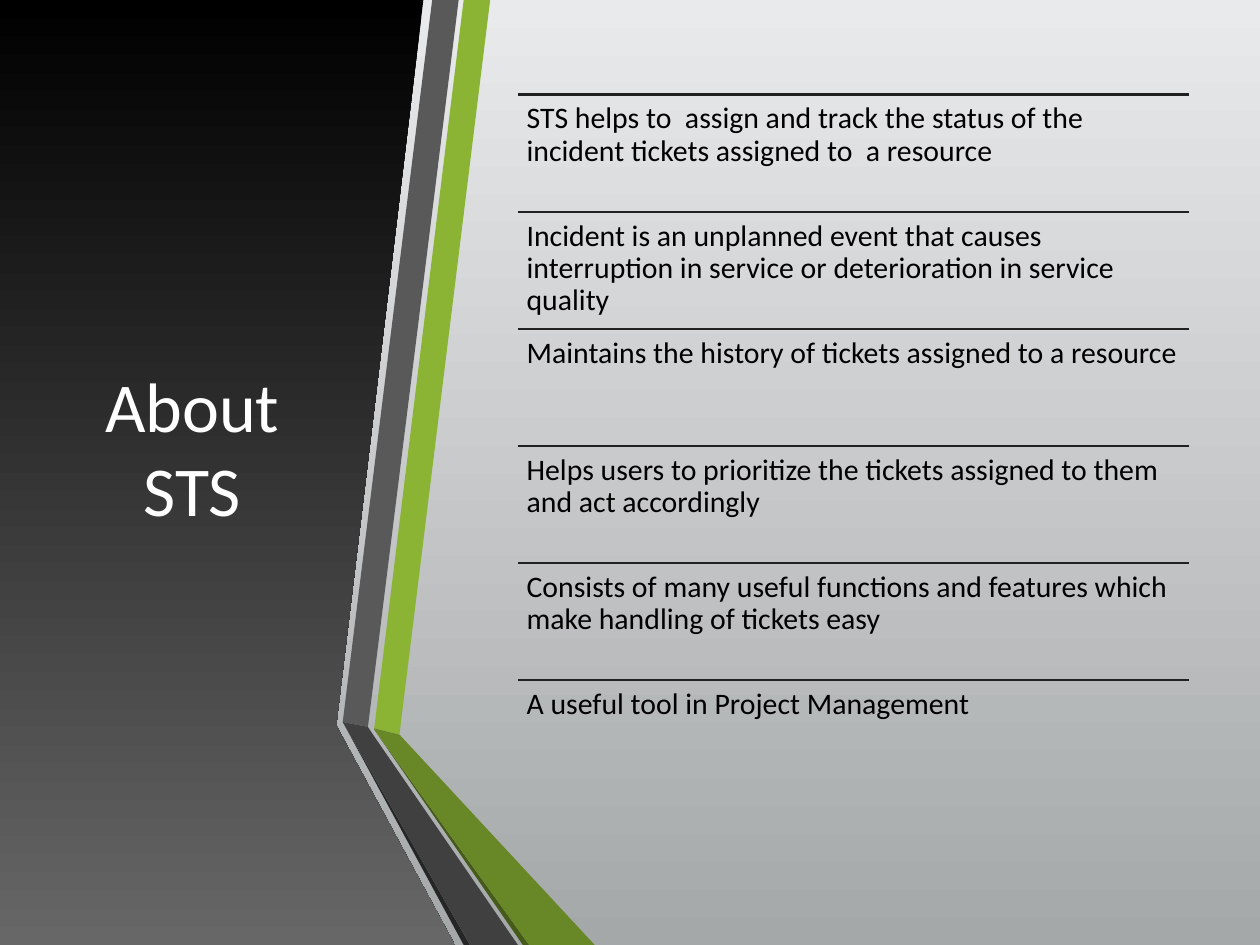
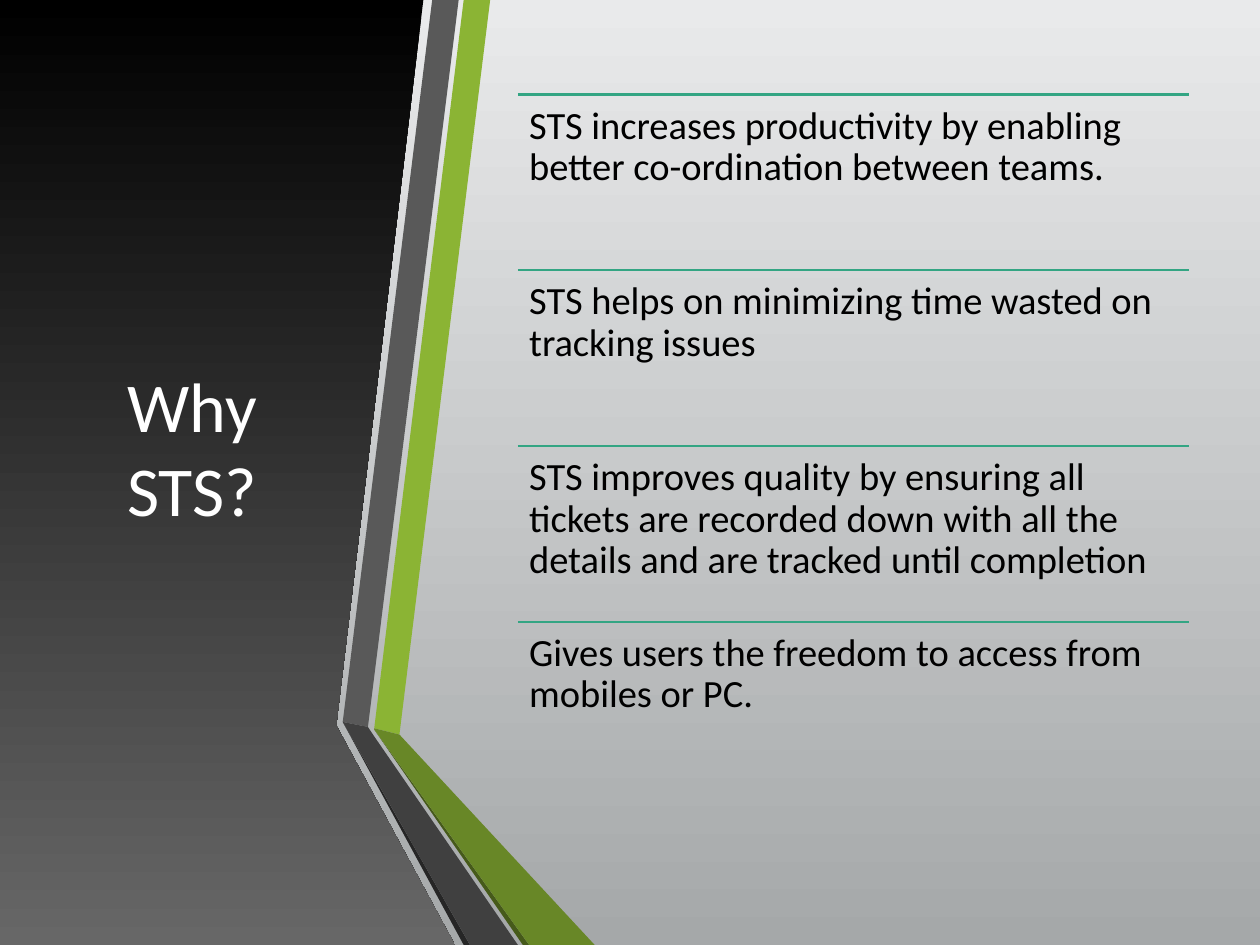
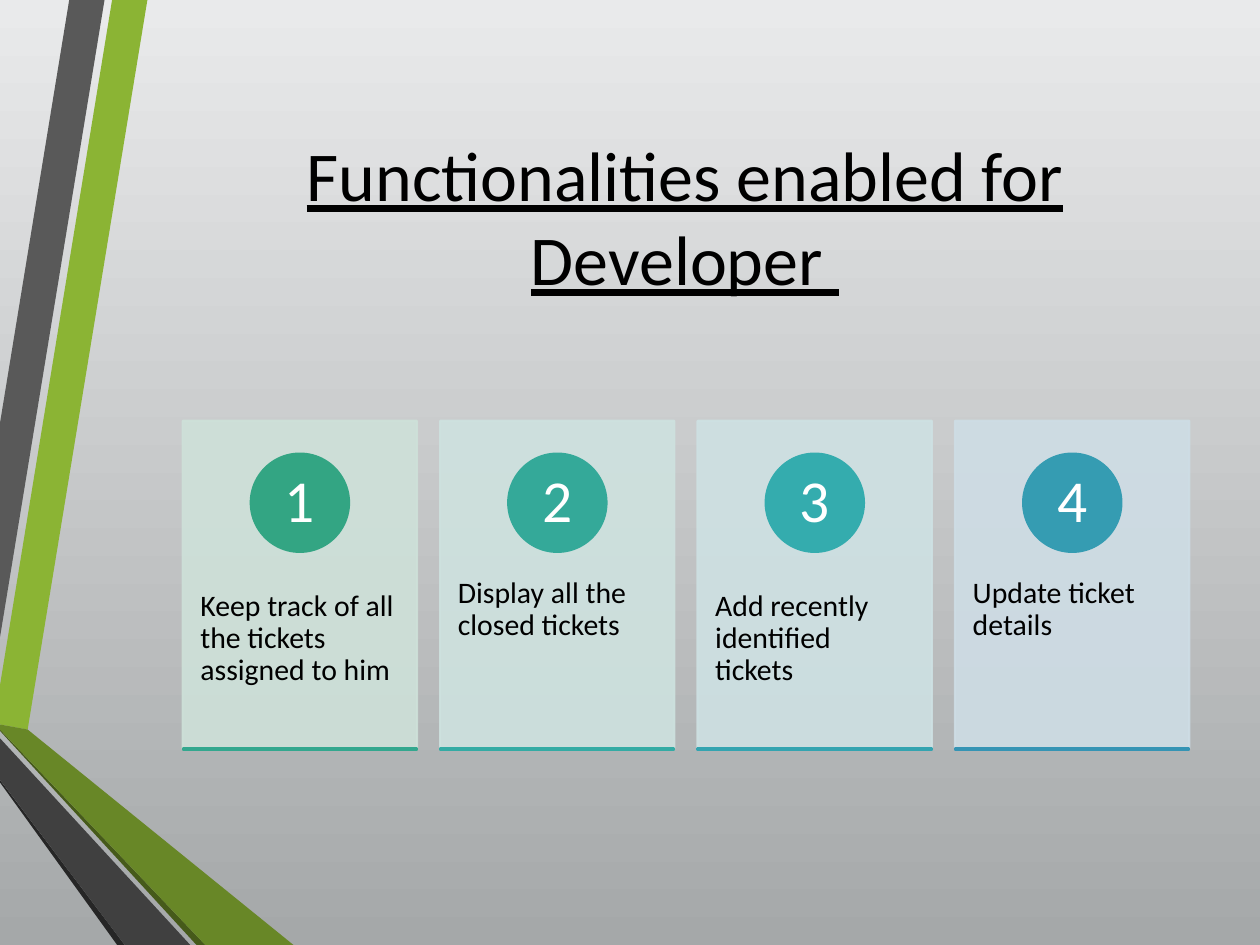
from dataclasses import dataclass

from lxml import etree
from pptx import Presentation
from pptx.dml.color import RGBColor
from pptx.enum.shapes import MSO_CONNECTOR, MSO_SHAPE
from pptx.enum.text import MSO_ANCHOR, MSO_AUTO_SIZE, PP_ALIGN
from pptx.oxml.ns import qn
from pptx.util import Inches, Pt

STRAIGHT = MSO_CONNECTOR.STRAIGHT
RECTANGLE, OVAL = MSO_SHAPE.RECTANGLE, MSO_SHAPE.OVAL
TOP, MIDDLE = MSO_ANCHOR.TOP, MSO_ANCHOR.MIDDLE
NO_AUTOFIT = MSO_AUTO_SIZE.NONE
LEFT, CENTER = PP_ALIGN.LEFT, PP_ALIGN.CENTER

BLACK = RGBColor(0x00, 0x00, 0x00)
WHITE = RGBColor(0xFF, 0xFF, 0xFF)
PALE_GRAY = RGBColor(0xE9, 0xEA, 0xEB)
MID_GRAY = RGBColor(0xA5, 0xA8, 0xA9)
PANEL_GRAY = RGBColor(0x67, 0x67, 0x67)
RULE_GRAY = RGBColor(0x21, 0x21, 0x21)
TEAL = RGBColor(0x33, 0xA5, 0x83)
GREEN = RGBColor(0x8B, 0xB4, 0x34)
GREEN_FOLD = RGBColor(0x68, 0x87, 0x27)
GREEN_EDGE = RGBColor(0x46, 0x5A, 0x1A)
GRAY = RGBColor(0x59, 0x59, 0x59)
GRAY_FOLD = RGBColor(0x40, 0x40, 0x40)
GRAY_EDGE = RGBColor(0x26, 0x26, 0x26)

FONT = "Calibri"
TITLE_ONLY = 5
DOWNWARD = 270
LINE_WIDTH = Pt(1.25)
TITLE_SIZE = 40
CONTENT_TOP, CONTENT_HEIGHT = 0.75, 5.58
LIST_LEFT, LIST_WIDTH = 4.11, 5.33
CARDS_LEFT, CARDS_WIDTH = 1.45, 7.99
CARD_WIDTH, CARD_TOP, CARD_HEIGHT = 1.86, 3.34, 2.6
CIRCLE_TOP, CIRCLE_SIZE = 3.6, 0.78
NUMBER_SIZE = 0.55


@dataclass(frozen=True)
class Box:
    """Position and size in inches."""

    left: float
    top: float
    width: float
    height: float

    def lengths(self) -> tuple:
        """Return the four values as lengths."""
        return tuple(Inches(value) for value in (self.left, self.top, self.width, self.height))


@dataclass(frozen=True)
class Ribbon:
    """Filled outline with corners in inches."""

    color: RGBColor
    points: tuple


@dataclass(frozen=True)
class TextStyle:
    """Look of the text in a box, with insets in inches."""

    size: float
    inset_x: float
    inset_y: float
    color: RGBColor = BLACK
    align: PP_ALIGN = LEFT
    anchor: MSO_ANCHOR = TOP


@dataclass(frozen=True)
class ListSlide:
    """Slide with a dark title panel and a ruled list."""

    title: str
    rule_color: RGBColor
    style: TextStyle
    items: tuple


@dataclass(frozen=True)
class Card:
    """Numbered card with its three colors."""

    text: str
    panel: RGBColor
    circle: RGBColor
    base: RGBColor


PANEL_POINTS = ((2.64, 0), (3.36, 0), (2.67, 5.75), (2.67, 5.76), (3.61, 7.5), (0, 7.5), (0, 0))
LIST_RIBBONS = (
    Ribbon(GREEN, ((2.97, 5.78), (3.17, 5.83), (3.89, 0), (3.68, 0))),
    Ribbon(GRAY, ((3.64, 0), (3.43, 0), (2.72, 5.73), (2.92, 5.77))),
    Ribbon(GRAY_EDGE, ((2.72, 5.73), (3.68, 7.5), (3.73, 7.5))),
    Ribbon(GREEN_EDGE, ((2.97, 5.79), (4.15, 7.5), (4.2, 7.5))),
    Ribbon(GREEN_FOLD, ((2.97, 5.79), (4.2, 7.5), (4.72, 7.5), (3.17, 5.83), (2.97, 5.78))),
    Ribbon(GRAY_FOLD, ((4.11, 7.5), (2.96, 5.83), (2.92, 5.77), (2.72, 5.73), (3.73, 7.5))),
)
CARD_RIBBONS = (
    Ribbon(GREEN, ((0, 5.44), (0, 5.75), (0.22, 5.79), (1.17, 0), (0.89, 0))),
    Ribbon(GRAY, ((0.83, 0), (0.55, 0), (0, 3.36), (0, 5.06))),
    Ribbon(GRAY_EDGE, ((0, 6.19), (0, 6.21), (0.93, 7.5), (0.99, 7.5))),
    Ribbon(GREEN_EDGE, ((0, 5.79), (0, 5.8), (1.56, 7.5), (1.63, 7.5))),
    Ribbon(GREEN_FOLD, ((0, 5.79), (1.63, 7.5), (2.33, 7.5), (0.22, 5.79), (0, 5.75))),
    Ribbon(GRAY_FOLD, ((0, 6.19), (0.99, 7.5), (1.51, 7.5), (0, 5.86))),
)

LIST_SLIDES = (
    ListSlide("About STS", RULE_GRAY, TextStyle(17, 0.07, 0.07), (
        "STS helps to  assign and track the status of the incident tickets assigned to  a resource",
        "Incident is an unplanned event that causes interruption in service or deterioration in service quality",
        "Maintains the history of tickets assigned to a resource",
        "Helps users to prioritize the tickets assigned to them and act accordingly",
        "Consists of many useful functions and features which make handling of tickets easy",
        "A useful tool in Project Management",
    )),
    ListSlide("Why STS?", TEAL, TextStyle(22, 0.09, 0.09), (
        "STS increases productivity by enabling better co-ordination between teams.",
        "STS helps on minimizing time wasted on tracking issues",
        "STS improves quality by ensuring all tickets are recorded down with all the details "
        "and are tracked until completion",
        "Gives users the freedom to access from mobiles or PC.",
    )),
)

CARD_TITLE = "Functionalities enabled for Developer "
CARD_STYLE = TextStyle(17, 0.14, 0.36)
NUMBER_STYLE = TextStyle(34, 0.06, 0.01, WHITE, CENTER, MIDDLE)
CARDS = (
    Card("Keep track of all the tickets assigned to him",
         RGBColor(0xCE, 0xE1, 0xD9), TEAL, RGBColor(0x33, 0xA7, 0x8E)),
    Card("Display all the closed tickets",
         RGBColor(0xCE, 0xE2, 0xDF), RGBColor(0x34, 0xA9, 0x99), RGBColor(0x34, 0xAB, 0xA4)),
    Card("Add recently identified tickets",
         RGBColor(0xCE, 0xE1, 0xE3), RGBColor(0x34, 0xAC, 0xAE), RGBColor(0x34, 0xA4, 0xB0)),
    Card("Update ticket details",
         RGBColor(0xCE, 0xDD, 0xE5), RGBColor(0x35, 0x9C, 0xB2), RGBColor(0x35, 0x94, 0xB4)),
)


def fill_gradient(fill, top_color: RGBColor, bottom_color: RGBColor) -> None:
    """Fill with a vertical gradient."""
    fill.gradient()
    fill.gradient_angle = DOWNWARD
    for stop, color in zip(fill.gradient_stops, (top_color, bottom_color)):
        stop.color.rgb = color


def add_outline(slide, points: tuple):
    """Add a closed outline without line or shadow."""
    corners = [(Inches(x), Inches(y)) for x, y in points]
    builder = slide.shapes.build_freeform(*corners[0])
    builder.add_line_segments(corners[1:], close=True)
    shape = builder.convert_to_shape()
    shape.shadow.inherit = False
    shape.line.fill.background()
    return shape


def add_ribbons(slide, ribbons: tuple) -> None:
    """Draw the folded ribbons."""
    for ribbon in ribbons:
        shape = add_outline(slide, ribbon.points)
        shape.fill.solid()
        shape.fill.fore_color.rgb = ribbon.color


def add_block(slide, kind: MSO_SHAPE, box: Box, color: RGBColor, opacity: int = 100) -> None:
    """Add a preset shape with fill and line in one color."""
    shape = slide.shapes.add_shape(kind, *box.lengths())
    shape.shadow.inherit = False
    shape.fill.solid()
    shape.fill.fore_color.rgb = color
    shape.line.color.rgb = color
    shape.line.width = LINE_WIDTH
    if opacity < 100:
        for element in shape.element.spPr.iter(qn("a:srgbClr")):
            etree.SubElement(element, qn("a:alpha")).set("val", str(opacity * 1000))


def add_rule(slide, top: float, color: RGBColor) -> None:
    """Draw a horizontal rule across the list."""
    rule = slide.shapes.add_connector(
        STRAIGHT, Inches(LIST_LEFT), Inches(top), Inches(LIST_LEFT + LIST_WIDTH), Inches(top))
    rule.line.color.rgb = color
    rule.line.width = LINE_WIDTH
    etree.SubElement(rule.element.spPr, qn("a:effectLst"))


def add_run(paragraph, text: str, size: float, color: RGBColor):
    """Add a run in the shared font."""
    run = paragraph.add_run()
    run.text = text
    run.font.name = FONT
    run.font.size = Pt(size)
    run.font.color.rgb = color
    return run


def add_text(slide, box: Box, text: str, style: TextStyle) -> None:
    """Add a wrapped text box."""
    frame = slide.shapes.add_textbox(*box.lengths()).text_frame
    frame.word_wrap = True
    frame.vertical_anchor = style.anchor
    frame.margin_left = frame.margin_right = Inches(style.inset_x)
    frame.margin_top = frame.margin_bottom = Inches(style.inset_y)
    paragraph = frame.paragraphs[0]
    paragraph.alignment = style.align
    paragraph.line_spacing = 0.9
    add_run(paragraph, text, style.size, style.color)


def set_title(slide, box: Box, text: str, color: RGBColor, underline: bool = False) -> None:
    """Place and format the title in front of what is drawn so far."""
    title = slide.shapes.title
    slide.shapes.element.append(title.element)
    title.left, title.top, title.width, title.height = box.lengths()
    frame = title.text_frame
    frame.word_wrap = True
    frame.auto_size = NO_AUTOFIT
    frame.vertical_anchor = MIDDLE
    paragraph = frame.paragraphs[0]
    paragraph.alignment = CENTER
    run = add_run(paragraph, text, TITLE_SIZE, color)
    if underline:
        run.font.underline = True


def add_list_slide(presentation, content: ListSlide) -> None:
    """Build a slide with a title panel and a ruled list."""
    slide = presentation.slides.add_slide(presentation.slide_layouts[TITLE_ONLY])
    panel = add_outline(slide, PANEL_POINTS)
    fill_gradient(panel.fill, BLACK, PANEL_GRAY)
    set_title(slide, Box(0.44, CONTENT_TOP, 2.17, CONTENT_HEIGHT), content.title, WHITE)
    add_ribbons(slide, LIST_RIBBONS)
    row_height = CONTENT_HEIGHT / len(content.items)
    for index, item in enumerate(content.items):
        top = CONTENT_TOP + index * row_height
        add_rule(slide, top, content.rule_color)
        add_text(slide, Box(LIST_LEFT, top, LIST_WIDTH, row_height), item, content.style)


def add_card(slide, left: float, number: int, card: Card) -> None:
    """Draw a numbered card."""
    circle_left = left + (CARD_WIDTH - CIRCLE_SIZE) / 2
    number_inset = (CIRCLE_SIZE - NUMBER_SIZE) / 2
    add_block(slide, RECTANGLE, Box(left, CARD_TOP, CARD_WIDTH, CARD_HEIGHT), card.panel, 90)
    add_text(slide, Box(left, 4.33, CARD_WIDTH, 1.56), card.text, CARD_STYLE)
    add_block(slide, OVAL, Box(circle_left, CIRCLE_TOP, CIRCLE_SIZE, CIRCLE_SIZE), card.circle)
    number_box = Box(circle_left + number_inset, CIRCLE_TOP + number_inset, NUMBER_SIZE, NUMBER_SIZE)
    add_text(slide, number_box, str(number), NUMBER_STYLE)
    add_block(slide, RECTANGLE, Box(left, CARD_TOP + CARD_HEIGHT, CARD_WIDTH, 0.01), card.base)


def add_card_slide(presentation) -> None:
    """Build the slide with the row of cards."""
    slide = presentation.slides.add_slide(presentation.slide_layouts[TITLE_ONLY])
    add_ribbons(slide, CARD_RIBBONS)
    set_title(slide, Box(1.44, CONTENT_TOP, 7.99, 1.92), CARD_TITLE, BLACK, underline=True)
    pitch = (CARDS_WIDTH - CARD_WIDTH) / (len(CARDS) - 1)
    for index, card in enumerate(CARDS):
        add_card(slide, CARDS_LEFT + index * pitch, index + 1, card)


def main() -> None:
    """Build and save the presentation."""
    presentation = Presentation()
    presentation.slide_width = Inches(10)
    presentation.slide_height = Inches(7.5)
    fill_gradient(presentation.slide_master.background.fill, PALE_GRAY, MID_GRAY)
    for content in LIST_SLIDES:
        add_list_slide(presentation, content)
    add_card_slide(presentation)
    presentation.save("out.pptx")


if __name__ == "__main__":
    main()
